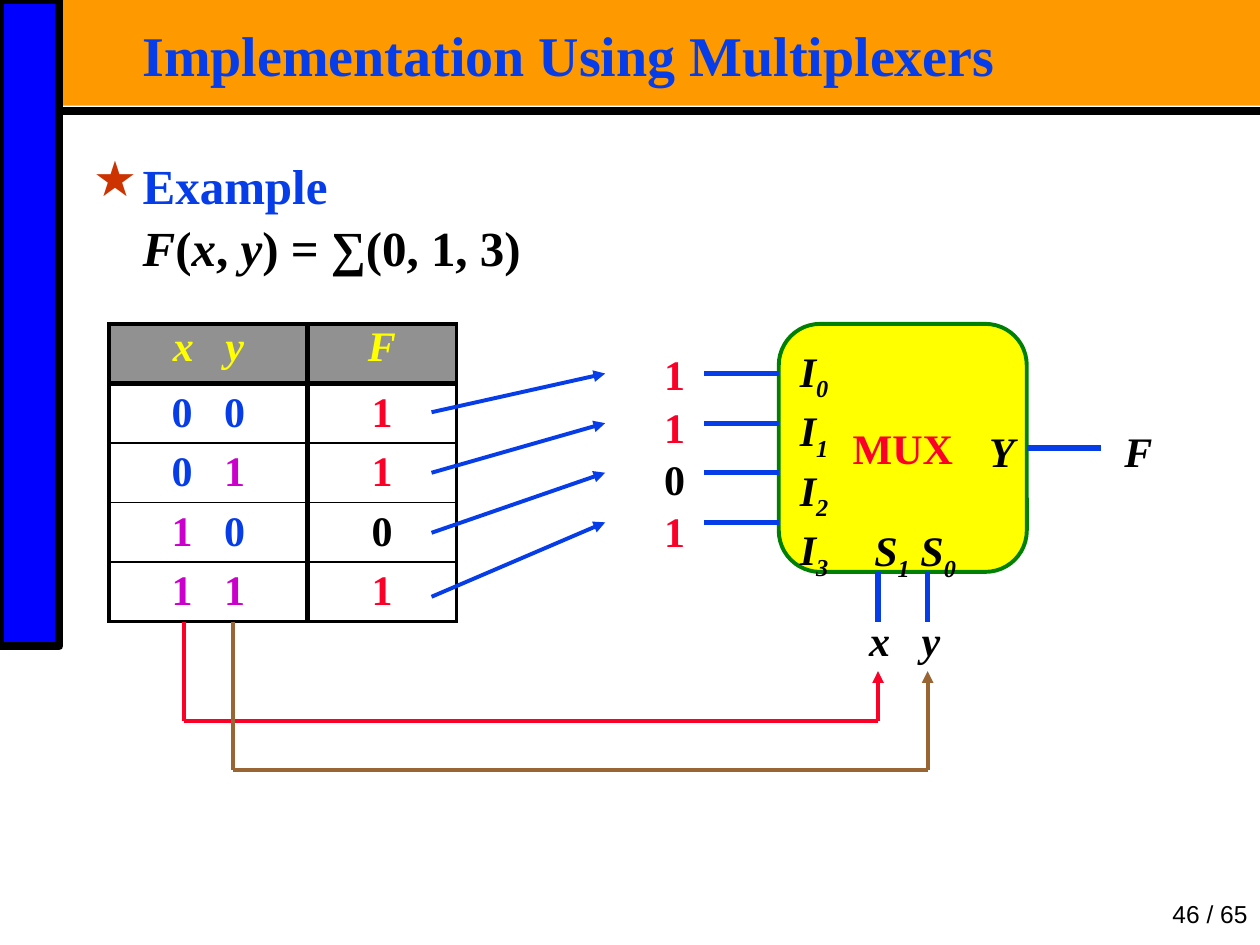
import dataclasses

import pptx
import pptx.dml.color
import pptx.enum.shapes
import pptx.enum.text
import pptx.util
from pptx.oxml.ns import qn
from lxml import etree

ALIGN = pptx.enum.text.PP_ALIGN
ANCHOR = pptx.enum.text.MSO_ANCHOR
SHAPE = pptx.enum.shapes.MSO_SHAPE


@dataclasses.dataclass(frozen=True)
class Theme:
    serif: str = "Times New Roman"
    sans: str = "Arial"
    title: int = 32
    body: int = 28
    label: int = 24
    page: int = 14
    spacing: float = 1.04
    thin: float = 1
    medium: float = 2.25
    thick: float = 3
    frame: float = 4.5
    black: str = "000000"
    blue: str = "063DE8"
    red: str = "FC0128"
    purple: str = "CC00CC"
    brown: str = "996633"
    yellow: str = "FFFF00"
    green: str = "008000"
    gray: str = "919191"
    orange: str = "FF9900"
    sidebar: str = "0000FF"
    star: str = "CC3300"


@dataclasses.dataclass(frozen=True)
class Box:
    """An area on a grid of one-centimetre columns and rows."""
    left: float
    top: float
    width: float
    height: float

    def area(self, column, row, width, height):
        return Box(self.left + column, self.top + row, width, height)

    def point(self, column, row):
        return pptx.util.Cm(self.left + column), pptx.util.Cm(self.top + row)

    def lengths(self):
        return [pptx.util.Cm(v) for v in (self.left, self.top, self.width, self.height)]


THEME = Theme()
INPUT_ROWS = (1, 2, 3, 4)
SELECT_COLUMNS = (15.5, 16.5)


def rgb(colour):
    return pptx.dml.color.RGBColor.from_string(colour)


def fill_paragraph(paragraph, segments, size, align, font=THEME.serif, bold=True):
    """Segments are (text, colour, style); style i is italic, s subscript."""
    paragraph.alignment = align
    for text, colour, style in segments:
        if text == "\n":
            paragraph.add_line_break()
            continue
        run = paragraph.add_run()
        run.text = text
        run.font.name, run.font.size = font, pptx.util.Pt(size)
        run.font.bold, run.font.italic = bold, "i" in style
        run.font.color.rgb = rgb(colour)
        if "s" in style:
            run._r.get_or_add_rPr().set("baseline", "-25000")


def add_text(slide, box, lines, size=THEME.label, align=ALIGN.CENTER,
             spacing=THEME.spacing, margins=(0, 0)):
    frame = slide.shapes.add_textbox(*box.lengths()).text_frame
    frame.word_wrap = True
    frame.margin_left = frame.margin_right = pptx.util.Inches(margins[0])
    frame.margin_top = frame.margin_bottom = pptx.util.Inches(margins[1])
    for index, segments in enumerate(lines):
        paragraph = frame.add_paragraph() if index else frame.paragraphs[0]
        fill_paragraph(paragraph, segments, size, align)
        paragraph.line_spacing = spacing
    return frame


def add_block(slide, kind, box, fill, line=None, weight=THEME.medium):
    shape = slide.shapes.add_shape(kind, *box.lengths())
    shape.shadow.inherit = False
    shape.fill.solid()
    shape.fill.fore_color.rgb = rgb(fill)
    if line:
        shape.line.color.rgb = rgb(line)
        shape.line.width = pptx.util.Pt(weight)
    else:
        shape.line.fill.background()
    return shape


def add_line(slide, box, start, end, colour, weight, arrow=False):
    connector = slide.shapes.add_connector(
        pptx.enum.shapes.MSO_CONNECTOR.STRAIGHT, *box.point(*start), *box.point(*end))
    connector.line.color.rgb = rgb(colour)
    connector.line.width = pptx.util.Pt(weight)
    properties = connector._element.spPr
    if arrow:
        etree.SubElement(properties.find(qn("a:ln")), qn("a:tailEnd"), type="triangle")
    etree.SubElement(properties, qn("a:effectLst"))
    return connector


def add_frame(slide, box):
    # Header band, sidebar and rule
    side, band = 1.2, 2.13
    add_block(slide, SHAPE.RECTANGLE, box.area(side, 0, box.width - side, band), THEME.orange)
    add_block(slide, SHAPE.RECTANGLE, box.area(0, 0, side, 13.03),
              THEME.sidebar, THEME.black, THEME.frame)
    add_line(slide, box, (side, 2.23), (box.width, 2.23), THEME.black, THEME.frame)
    # Title
    add_text(slide, box.area(2.69, 0.53, 22, 1.32),
             [[("Implementation Using Multiplexers", THEME.blue, "")]],
             THEME.title, ALIGN.LEFT, 0.87, (0.07, 0.03))
    # Page number
    frame = slide.shapes.add_textbox(
        *box.area(box.width - 3.33, 18.03, 3.33, 0.81).lengths()).text_frame
    frame.word_wrap = True
    frame.vertical_anchor = ANCHOR.BOTTOM
    fill_paragraph(frame.paragraphs[0], [("46 / 65", THEME.black, "")],
                   THEME.page, ALIGN.RIGHT, THEME.sans, False)


def add_example(slide, box):
    function = [("F", "i"), ("(", ""), ("x", "i"), (", ", ""), ("y", "i"),
                (") = ∑(0, 1, 3)", "")]
    segments = [("Example", THEME.blue, ""), ("\n", THEME.blue, "")]
    segments += [(text, THEME.black, style) for text, style in function]
    frame = add_text(slide, box, [segments], THEME.body, ALIGN.LEFT, margins=(0.07, 0.03))
    # Star bullet with a hanging indent
    properties = frame.paragraphs[0]._p.get_or_add_pPr()
    indent = pptx.util.Cm(1)
    properties.set("marL", str(indent))
    properties.set("indent", str(-indent))
    colour = etree.SubElement(properties, qn("a:buClr"))
    etree.SubElement(colour, qn("a:srgbClr"), val=THEME.star)
    etree.SubElement(properties, qn("a:buChar"), char="★")


def set_borders(cell, weights):
    properties = cell._tc.get_or_add_tcPr()
    for side, weight in zip("LRTB", weights):
        line = etree.SubElement(properties, qn(f"a:ln{side}"), w=str(pptx.util.Pt(weight)))
        fill = etree.SubElement(line, qn("a:solidFill"))
        etree.SubElement(fill, qn("a:srgbClr"), val=THEME.black)


def add_truth_table(slide, box):
    blue, red, purple = THEME.blue, THEME.red, THEME.purple
    rows = [
        ([("x   y", THEME.yellow, "i")], [("F", THEME.yellow, "i")]),
        ([("0   0", blue, "")], [("1", red, "")]),
        ([("0   ", blue, ""), ("1", purple, "")], [("1", red, "")]),
        ([("1", purple, ""), ("   0", blue, "")], [("0", THEME.black, "")]),
        ([("1   1", purple, "")], [("1", red, "")]),
    ]
    table = slide.shapes.add_table(len(rows), 2, *box.lengths()).table
    for column, share in zip(table.columns, (4 / 7, 3 / 7)):
        column.width = pptx.util.Cm(box.width * share)
    # Outer edge medium, divider and header rule thick, other rules thin
    across = (THEME.medium, THEME.thick, THEME.medium)
    down = (THEME.medium, THEME.thick, *[THEME.thin] * 3, THEME.medium)
    for r, row in enumerate(rows):
        for c, segments in enumerate(row):
            cell = table.cell(r, c)
            cell.margin_left = cell.margin_right = cell.margin_top = cell.margin_bottom = 0
            cell.vertical_anchor = ANCHOR.MIDDLE if r else ANCHOR.TOP
            set_borders(cell, (*across[c:c + 2], *down[r:r + 2]))
            if r:
                cell.fill.background()
            else:
                cell.fill.solid()
                cell.fill.fore_color.rgb = rgb(THEME.gray)
            fill_paragraph(cell.text_frame.paragraphs[0], segments, THEME.label, ALIGN.CENTER)


def add_multiplexer(slide, box):
    black = THEME.black
    block = add_block(slide, SHAPE.ROUNDED_RECTANGLE, box.area(13.5, 0, 5, 5),
                      THEME.yellow, THEME.green)
    frame = block.text_frame
    frame.word_wrap = False
    frame.margin_left = frame.margin_right = frame.margin_top = frame.margin_bottom = 0
    frame.vertical_anchor = ANCHOR.MIDDLE
    fill_paragraph(frame.paragraphs[0], [("MUX", THEME.red, "")], THEME.label, ALIGN.CENTER)
    # Input, select and output wires
    for row in INPUT_ROWS:
        add_line(slide, box, (12, row), (13.5, row), THEME.blue, THEME.thick)
    for column in SELECT_COLUMNS:
        add_line(slide, box, (column, 6), (column, 5), THEME.blue, THEME.thick)
    output = add_line(slide, box, (18.5, 2.5), (20, 2.5), THEME.blue, THEME.thick)
    output.begin_connect(block, 3)
    # Port names
    add_text(slide, box.area(13.5, 0.38, 1, 4.06),
             [[("I", black, "i"), (digit, black, "is")] for digit in "0123"], align=ALIGN.RIGHT)
    add_text(slide, box.area(15, 4, 2.5, 1),
             [[("S", black, "i"), ("1", black, "is"), (" S", black, "i"), ("0", black, "is")]])
    for text, column, row, width in (("Y", 17.5, 2, 1), ("F", 20, 2, 1.5),
                                     ("x   y", 15.1, 5.82, 1.88)):
        add_text(slide, box.area(column, row, width, 1), [[(text, black, "i")]])
    # Input constants
    add_text(slide, box.area(11, 0.46, 0.8, 4.06),
             [[(bit, THEME.red if bit == "1" else black, "")] for bit in "1101"])


def add_links(slide, box):
    # Table outputs to multiplexer inputs
    for start_row, end_row in zip((1.78, 3, 4.21, 5.5), INPUT_ROWS):
        add_line(slide, box, (6.5, start_row), (10, end_row), THEME.blue, THEME.medium, True)
    # Table variables to select lines
    routes = zip((1.5, 2.5), SELECT_COLUMNS, (8, 9), (THEME.red, THEME.brown))
    for start, end, depth, colour in routes:
        corners = [(start, 6), (start, depth), (end, depth), (end, 7)]
        for index in range(3):
            add_line(slide, box, corners[index], corners[index + 1], colour,
                     THEME.medium, index == 2)


def main():
    presentation = pptx.Presentation()
    page = Box(0, 0, 25.4, 19.05)
    presentation.slide_width, presentation.slide_height = page.lengths()[2:]
    slide = presentation.slides.add_slide(presentation.slide_layouts[6])
    diagram = page.area(2.2, 6.53, 21.5, 9)
    add_frame(slide, page)
    add_example(slide, page.area(1.7, 3.02, 23, 2.5))
    add_truth_table(slide, diagram.area(0, 0, 7, 6))
    add_multiplexer(slide, diagram)
    add_links(slide, diagram)
    presentation.save("out.pptx")


if __name__ == "__main__":
    main()
